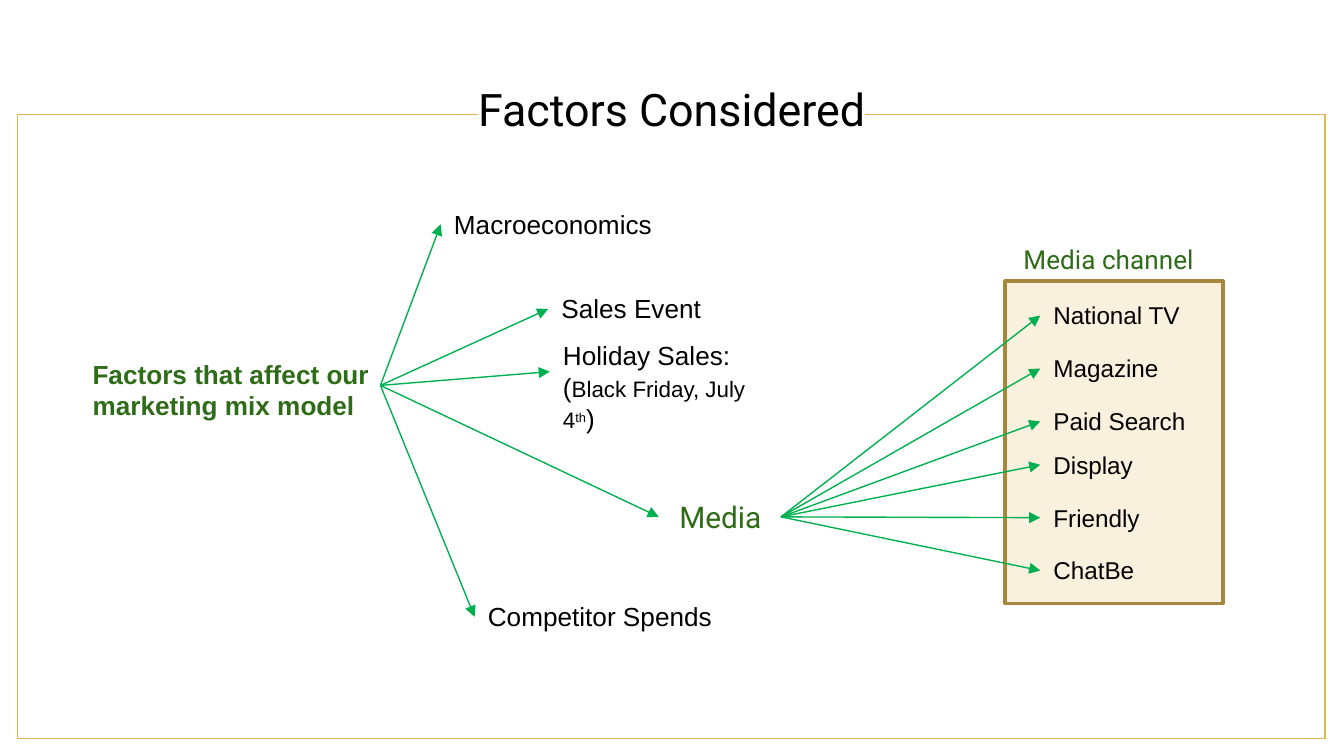
"""Build the slide of factors considered in the marketing mix model."""
from dataclasses import dataclass

import pptx
import pptx.dml.color
import pptx.enum.shapes
import pptx.enum.text
import pptx.oxml
import pptx.oxml.ns
import pptx.util
from pptx.util import Cm, Pt

BLACK, GREEN, ARROW_GREEN = "000000", "2F6C18", "00B050"
TOP, LEFT, RIGHT = 0, 1, 3


@dataclass
class Label:
    text: str
    left: float
    top: float
    width: float
    height: float
    size: float = 14
    font: str = "Arial"
    color: str = BLACK
    bold: bool = False
    wrap: bool = False


@dataclass
class Frame:
    left: float
    top: float
    width: float
    height: float
    line: str
    weight: float
    fill: str = ""


def rgb(value: str) -> pptx.dml.color.RGBColor:
    return pptx.dml.color.RGBColor.from_string(value)


def add_element(parent, name: str, **attributes: str):
    element = pptx.oxml.parse_xml(f"<a:{name} {pptx.oxml.ns.nsdecls('a')}/>")
    for key, value in attributes.items():
        element.set(key, value)
    parent.append(element)
    return element


def format_span(span, size: float, name: str, color: str, bold: bool = False) -> None:
    span.font.size = Pt(size)
    span.font.name = name
    span.font.color.rgb = rgb(color)
    span.font.bold = bold


def draw_label(slide, label: Label):
    box = slide.shapes.add_textbox(
        Cm(label.left), Cm(label.top), Cm(label.width), Cm(label.height))
    frame = box.text_frame
    frame.word_wrap = label.wrap
    frame.margin_bottom = 0
    if not label.wrap:
        frame.margin_right = 0
    frame.text = label.text
    for para in frame.paragraphs:
        for span in para.runs:
            format_span(span, label.size, label.font, label.color, label.bold)
    return box


def draw_frame(slide, frame: Frame):
    box = slide.shapes.add_shape(
        pptx.enum.shapes.MSO_SHAPE.RECTANGLE,
        Cm(frame.left), Cm(frame.top), Cm(frame.width), Cm(frame.height))
    box.shadow.inherit = False
    box.line.color.rgb = rgb(frame.line)
    box.line.width = Pt(frame.weight)
    if frame.fill:
        box.fill.solid()
        box.fill.fore_color.rgb = rgb(frame.fill)
    else:
        box.fill.background()
    return box


def draw_arrow(slide, source, target) -> None:
    arrow = slide.shapes.add_connector(
        pptx.enum.shapes.MSO_CONNECTOR.STRAIGHT, 0, 0, 0, 0)
    arrow.begin_connect(source, RIGHT)
    arrow.end_connect(target, LEFT)
    arrow.line.color.rgb = rgb(ARROW_GREEN)
    arrow.line.width = Pt(0.75)
    add_element(arrow.line._get_or_add_ln(), "tailEnd", type="triangle")
    add_element(arrow._element.spPr, "effectLst")


def draw_title(slide, text: str) -> None:
    title = slide.shapes.title
    title.left, title.top, title.width, title.height = (
        Cm(-2.29), Cm(0.89), Cm(29.97), Cm(2.34))
    frame = title.text_frame
    frame.text = text
    frame.auto_size = pptx.enum.text.MSO_AUTO_SIZE.NONE
    frame.vertical_anchor = pptx.enum.text.MSO_ANCHOR.MIDDLE
    frame.paragraphs[0].alignment = pptx.enum.text.PP_ALIGN.CENTER
    span = frame.paragraphs[0].runs[0]
    format_span(span, 24, "Roboto", BLACK)
    highlight = add_element(span.font._element, "highlight")
    add_element(highlight, "srgbClr", val="FFFFFF")
    span.font._element.find(pptx.oxml.ns.qn("a:solidFill")).addnext(highlight)


def add_holidays(box) -> None:
    para = box.text_frame.add_paragraph()
    for text, size, baseline in (
            ("(", 14, 0), ("Black Friday, July 4", 12, 0), ("th", 12, 30000), (")", 14, 0)):
        span = para.add_run()
        span.text = text
        format_span(span, size, "Arial", BLACK)
        span.font._element.set("baseline", str(baseline))


def main() -> None:
    deck = pptx.Presentation()
    deck.slide_width, deck.slide_height = Cm(25.4), Cm(14.29)
    slide = deck.slides.add_slide(deck.slide_layouts[5])

    border = draw_frame(slide, Frame(0.33, 2.16, 24.71, 11.8, "E1B653", 0.75))
    slide.shapes.title._element.addprevious(border._element)
    draw_title(slide, "Factors Considered")

    root = draw_label(slide, Label(
        "Factors that affect our\nmarketing mix model", 1.5, 6.65, 5.69, 1.27,
        color=GREEN, bold=True))
    holiday = Label("Holiday Sales:", 10.39, 6.3, 4.6, 1.45, wrap=True)
    media = Label(" Media", 12.45, 9.3, 2.31, 0.94, 16, "Roboto", GREEN)
    factors = [
        draw_label(slide, label) for label in (
            Label("Macroeconomics", 8.33, 3.81, 4.27, 0.86),
            Label("Sales Event", 10.36, 5.41, 3.18, 0.86),
            Label("Competitor Spends", 8.97, 11.23, 4.78, 0.86),
            holiday, media)]
    add_holidays(factors[3])
    for factor in factors:
        draw_arrow(slide, root, factor)

    draw_frame(slide, Frame(19, 5.31, 4.11, 6.1, "A6873D", 2, "F9F0DD"))
    draw_label(slide, Label(" Media channel", 18.97, 4.47, 3.94, 0.86, 14, "Roboto", GREEN))
    groups = ((5.56, ("National TV", "Magazine", "Paid Search")),
              (8.38, ("Display", "Friendly", "ChatBe")))
    for top, names in groups:
        for row, name in enumerate(names):
            channel = draw_label(slide, Label(name, 19.66, top + row, 3.05, 0.81, 13))
            draw_arrow(slide, factors[-1], channel)

    deck.save("out.pptx")


if __name__ == "__main__":
    main()
